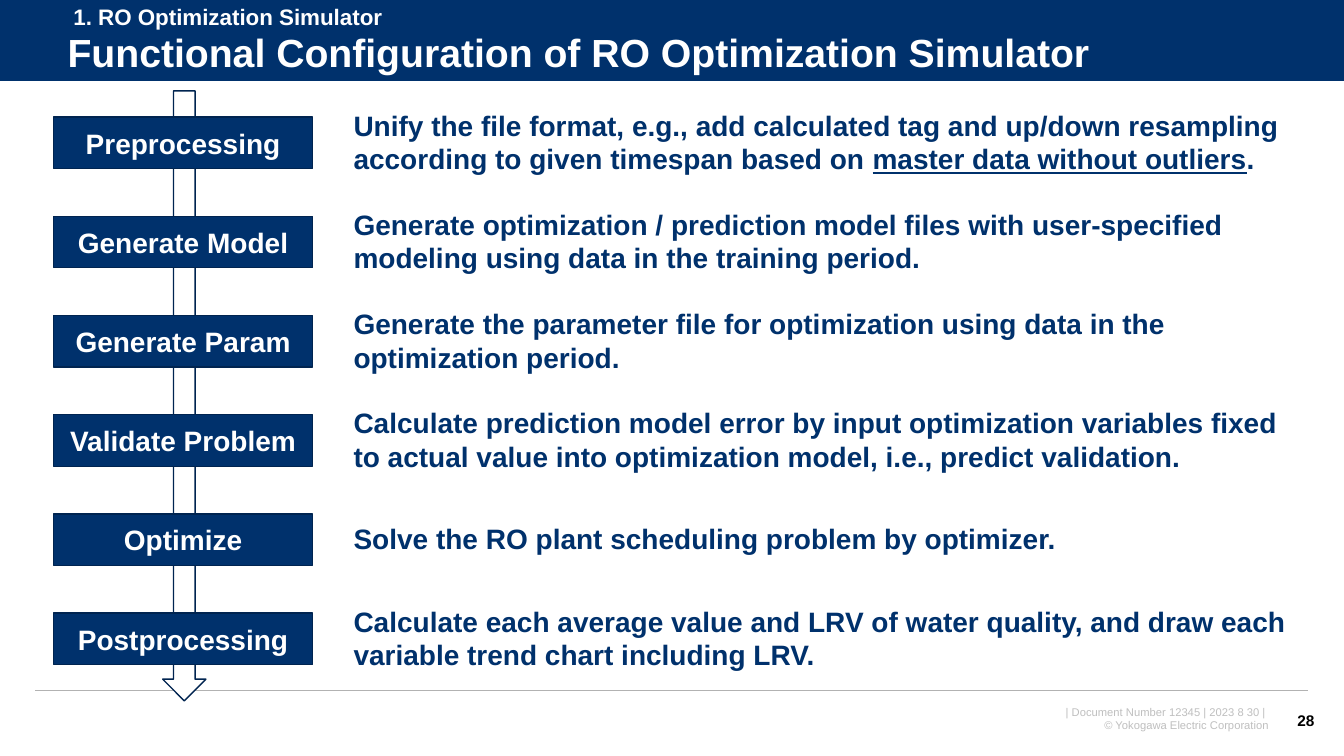
from pptx import Presentation
from pptx.dml.color import RGBColor
from pptx.enum.shapes import MSO_CONNECTOR as Connector, MSO_SHAPE as Shape
from pptx.enum.text import MSO_ANCHOR as Anchor, PP_ALIGN as Align
from pptx.oxml.ns import qn
from pptx.util import Cm, Pt
from lxml.etree import SubElement

NAVY = RGBColor(0x00, 0x31, 0x6C)
DARK_NAVY = RGBColor(0x00, 0x24, 0x50)
WHITE = RGBColor(0xFF, 0xFF, 0xFF)
BLACK = RGBColor(0x00, 0x00, 0x00)
RULE_GRAY = RGBColor(0xB2, 0xB2, 0xB2)
FOOTER_GRAY = RGBColor(0xBF, 0xBF, 0xBF)

STEP_TOP, STEP_PITCH, STEP_HEIGHT = 2.95, 2.5, 1.3
STEPS = [
    ("Preprocessing",
     ["Unify the file format, e.g., add calculated tag and up/down resampling "
      "according to given timespan based on ",
      "master data without outliers", "."]),
    ("Generate Model",
     ["Generate optimization / prediction model files with user-specified "
      "modeling using data in the training period."]),
    ("Generate Param",
     ["Generate the parameter file for optimization using data in the "
      "optimization period."]),
    ("Validate Problem",
     ["Calculate prediction model error by input optimization variables fixed "
      "to actual value into optimization model, i.e., predict validation."]),
    ("Optimize",
     ["Solve the RO plant scheduling problem by optimizer."]),
    ("Postprocessing",
     ["Calculate each average value and LRV of water quality, and draw each "
      "variable trend chart including LRV."]),
]


def add_block(kind, left, top, width, height, fill, outline=None):
    block = slide.shapes.add_shape(kind, Cm(left), Cm(top), Cm(width), Cm(height))
    block.shadow.inherit = False
    block.fill.solid()
    block.fill.fore_color.rgb = fill
    if outline is None:
        block.line.fill.background()
    else:
        block.line.color.rgb = outline
        block.line.width = Pt(1)
    return block


def write(holder, paragraphs, size, color, bold=True, align=Align.LEFT,
          anchor=Anchor.TOP, wrap=True):
    """Fill a shape with paragraphs, each a list of runs; every second run is underlined."""
    frame = holder.text_frame
    frame.word_wrap = wrap
    frame.vertical_anchor = anchor
    font_format = {"name": "Arial", "size": Pt(size), "bold": bold}
    for index, pieces in enumerate(paragraphs):
        paragraph = frame.add_paragraph() if index else frame.paragraphs[0]
        paragraph.alignment = align
        for number, piece in enumerate(pieces):
            run = paragraph.add_run()
            run.text = piece
            for attribute, value in font_format.items():
                setattr(run.font, attribute, value)
            run.font.color.rgb = color
            if number % 2:
                run.font.underline = True


deck = Presentation()
deck.slide_width, deck.slide_height = Cm(33.87), Cm(19.05)
slide = deck.slides.add_slide(deck.slide_layouts[5])
shapes = slide.shapes

# Header band, with the title in front of it
title = shapes.title
banner = add_block(Shape.RECTANGLE, 0, 0, 33.87, 2.06, NAVY)
title.element.addprevious(banner.element)
title.left, title.top, title.width, title.height = Cm(1.45), Cm(0.66), Cm(31.67), Cm(1.45)
write(title, [["Functional Configuration of RO Optimization Simulator"]], 28, WHITE,
      anchor=Anchor.MIDDLE)
title.text_frame.paragraphs[0].line_spacing = 0.9

chapter = shapes.add_textbox(Cm(1.6), Cm(-0.05), Cm(10.24), Cm(0.94))
write(chapter, [["1. RO Optimization Simulator"]], 16, WHITE)

# Rules under the header and above the footer
for left, right, y, color, weight in [(0, 33.87, 2.06, WHITE, 0.75),
                                      (0.89, 32.97, 17.4, RULE_GRAY, 1)]:
    rule = shapes.add_connector(Connector.STRAIGHT, Cm(left), Cm(y), Cm(right), Cm(y))
    rule.line.color.rgb = color
    rule.line.width = Pt(weight)
    SubElement(rule.element.spPr, qn("a:effectLst"))

# Process steps along the flow arrow
add_block(Shape.DOWN_ARROW, 4.1, 2.29, 1.09, 15.37, WHITE, DARK_NAVY)
for index, (step_name, description) in enumerate(STEPS):
    top = STEP_TOP + index * STEP_PITCH
    step = add_block(Shape.RECTANGLE, 1.35, top, 6.53, STEP_HEIGHT, NAVY, DARK_NAVY)
    write(step, [[step_name]], 20, WHITE, align=Align.CENTER, anchor=Anchor.MIDDLE)
    explanation = shapes.add_textbox(Cm(8.66), Cm(top - 0.36), Cm(24.46), Cm(1.96))
    write(explanation, [description], 20, NAVY, anchor=Anchor.MIDDLE)

# Footer
credit = shapes.add_textbox(Cm(24.08), Cm(17.65), Cm(8.15), Cm(0.94))
write(credit, [["| Document Number 12345 | 2023 8 30 | "],
               ["© Yokogawa Electric Corporation"]],
      8, FOOTER_GRAY, bold=False, align=Align.RIGHT)
page_number = shapes.add_textbox(Cm(32.26), Cm(17.65), Cm(1.12), Cm(1.02))
write(page_number, [["28"]], 11, BLACK, align=Align.RIGHT, anchor=Anchor.MIDDLE, wrap=False)

deck.save("out.pptx")
